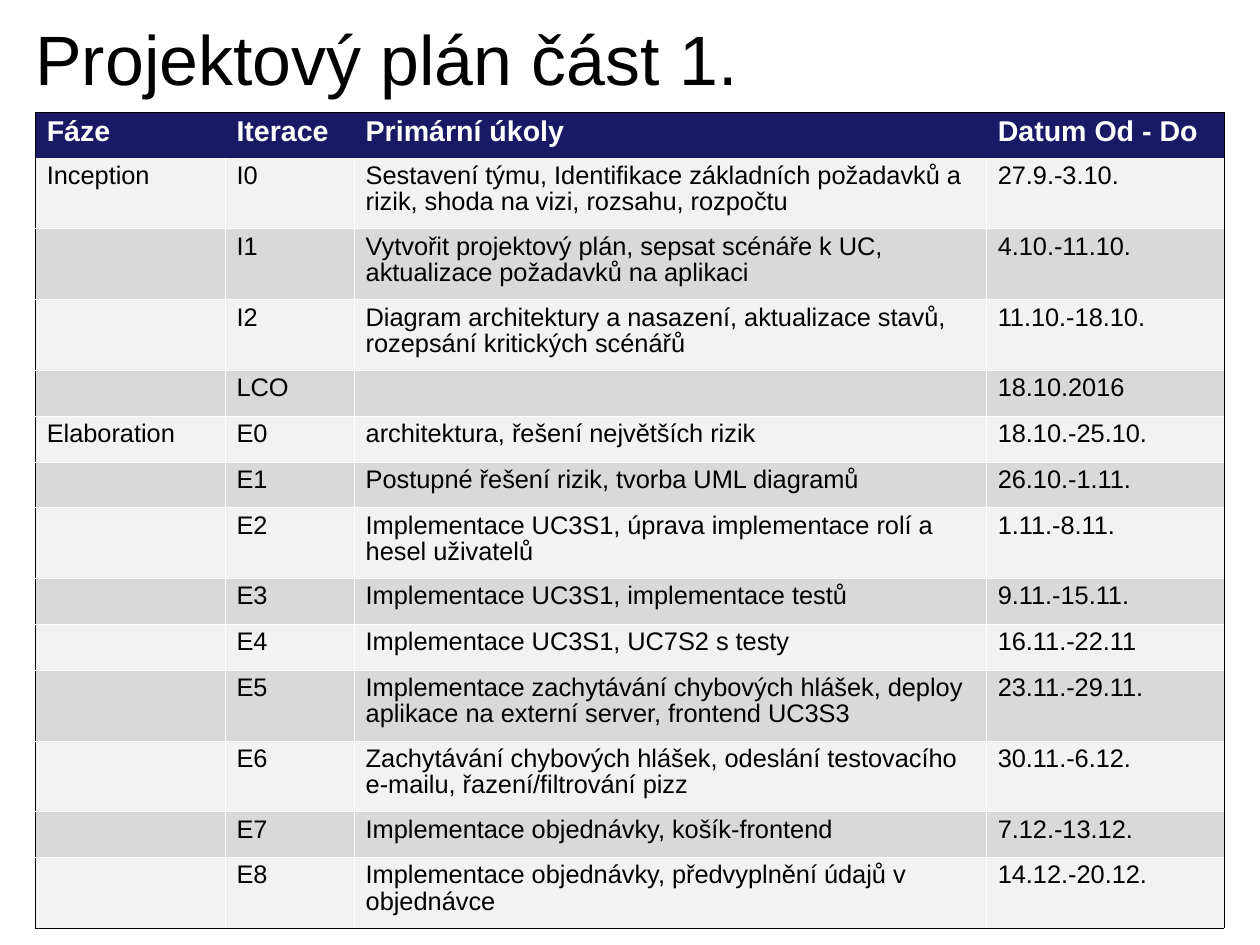
from dataclasses import dataclass

from lxml import etree
from pptx import Presentation
from pptx import util as u
from pptx.dml import color
from pptx.enum import text
from pptx.oxml import ns


@dataclass(frozen=True)
class Theme:
    """Colours, type sizes and line widths of the plan."""
    font: str = "Arial"
    ink: str = "000000"
    paper: str = "FFFFFF"
    header: str = "191966"
    bands: tuple = ("F2F2F2", "D9D9D9")
    title_size: int = 44
    header_size: int = 18
    body_size: int = 16
    spacing: float = 0.93
    frame_width: float = 0.45
    grid_width: float = 0.06


THEME = Theme()
NO_STYLE = "{2D5ABB26-0587-4C30-8999-92F81FD0307C}"
LEFT, TOP = 0.31, 0.98
COLUMNS = (1.66, 1.13, 5.53, 2.08)
ONE_LINE, TWO_LINES = 0.4, 0.62
WRAP_LENGTH = 50

HEADINGS = ("Fáze", "Iterace", "Primární úkoly", "Datum Od - Do")
ITERATIONS = (
    ("Inception", "I0", "Sestavení týmu, Identifikace základních požadavků a rizik, "
     "shoda na vizi, rozsahu, rozpočtu", "27.9.-3.10."),
    ("", "I1", "Vytvořit projektový plán, sepsat scénáře k UC, "
     "aktualizace požadavků na aplikaci", "4.10.-11.10."),
    ("", "I2", "Diagram architektury a nasazení, aktualizace stavů, "
     "rozepsání kritických scénářů", "11.10.-18.10."),
    ("", "LCO", "", "18.10.2016"),
    ("Elaboration", "E0", "architektura, řešení největších rizik", "18.10.-25.10."),
    ("", "E1", "Postupné řešení rizik, tvorba UML diagramů", "26.10.-1.11."),
    ("", "E2", "Implementace UC3S1, úprava implementace rolí a hesel uživatelů",
     "1.11.-8.11."),
    ("", "E3", "Implementace UC3S1, implementace testů", "9.11.-15.11."),
    ("", "E4", "Implementace UC3S1, UC7S2 s testy", "16.11.-22.11"),
    ("", "E5", "Implementace zachytávání chybových hlášek, deploy aplikace "
     "na externí server, frontend UC3S3", "23.11.-29.11."),
    ("", "E6", "Zachytávání chybových hlášek, odeslání testovacího e-mailu, "
     "řazení/filtrování pizz", "30.11.-6.12."),
    ("", "E7", "Implementace objednávky, košík-frontend", "7.12.-13.12."),
    ("", "E8", "Implementace objednávky, předvyplnění údajů v objednávce",
     "14.12.-20.12."),
)


def write(para, wording, size, tint, bold=False):
    """Add one styled run to a paragraph."""
    para.line_spacing = THEME.spacing
    span = para.add_run()
    span.text = wording
    span.font.name = THEME.font
    span.font.size = u.Pt(size)
    span.font.bold = bold
    span.font.color.rgb = color.RGBColor.from_string(tint)


def add_border(cell, place, side, tint, width):
    """Put a solid border line at the given place in the cell properties."""
    line = etree.Element(ns.qn(f"a:ln{side}"), w=str(u.Pt(width)))
    fill = etree.SubElement(line, ns.qn("a:solidFill"))
    etree.SubElement(fill, ns.qn("a:srgbClr"), val=tint)
    cell._tc.get_or_add_tcPr().insert(place, line)


deck = Presentation()
deck.slide_width, deck.slide_height = u.Cm(28), u.Cm(21)
page = deck.slides.add_slide(deck.slide_layouts[6])

# Title
box = page.shapes.add_textbox(u.Inches(LEFT), u.Inches(-0.12), u.Inches(9.92), u.Inches(1.28))
title = box.text_frame
title.word_wrap = True
title.vertical_anchor = text.MSO_ANCHOR.MIDDLE
title.margin_left = title.margin_right = title.margin_bottom = 0
title.margin_top = u.Inches(0.04)
write(title.paragraphs[0], "Projektový plán část 1.", THEME.title_size, THEME.ink)

# Plan table: long tasks get a two-line row
rows = (HEADINGS,) + ITERATIONS
heights = [TWO_LINES if len(row[2]) > WRAP_LENGTH else ONE_LINE for row in rows]
frame = page.shapes.add_table(
    len(rows), len(COLUMNS), u.Inches(LEFT), u.Inches(TOP),
    u.Inches(sum(COLUMNS)), u.Inches(sum(heights)))
plan = frame.table
plan.horz_banding = False
for style in frame._element.iter(ns.qn("a:tableStyleId")):
    style.text = NO_STYLE
for column, width in zip(plan.columns, COLUMNS):
    column.width = u.Inches(width)
for row, height in zip(plan.rows, heights):
    row.height = u.Inches(height)

last_row, last_column = len(rows) - 1, len(COLUMNS) - 1
for r, row in enumerate(rows):
    heading = r == 0
    band = THEME.header if heading else THEME.bands[(r - 1) % 2]
    size = THEME.header_size if heading else THEME.body_size
    tint = THEME.paper if heading else THEME.ink
    for c, wording in enumerate(row):
        cell = plan.cell(r, c)
        cell.fill.solid()
        cell.fill.fore_color.rgb = color.RGBColor.from_string(band)
        cell.margin_left = cell.margin_right = u.Inches(0.1)
        cell.margin_top = cell.margin_bottom = u.Inches(0.05)
        if wording:
            write(cell.text_frame.paragraphs[0], wording, size, tint, heading)

        # Black outer frame, hairline white grid inside the body
        outer = {"L": c == 0, "R": c == last_column, "T": heading, "B": r == last_row}
        place = 0
        for side, on_frame in outer.items():
            if on_frame:
                add_border(cell, place, side, THEME.ink, THEME.frame_width)
            elif heading or (r == 1 and side == "T"):
                continue
            else:
                add_border(cell, place, side, THEME.paper, THEME.grid_width)
            place += 1

deck.save("out.pptx")
